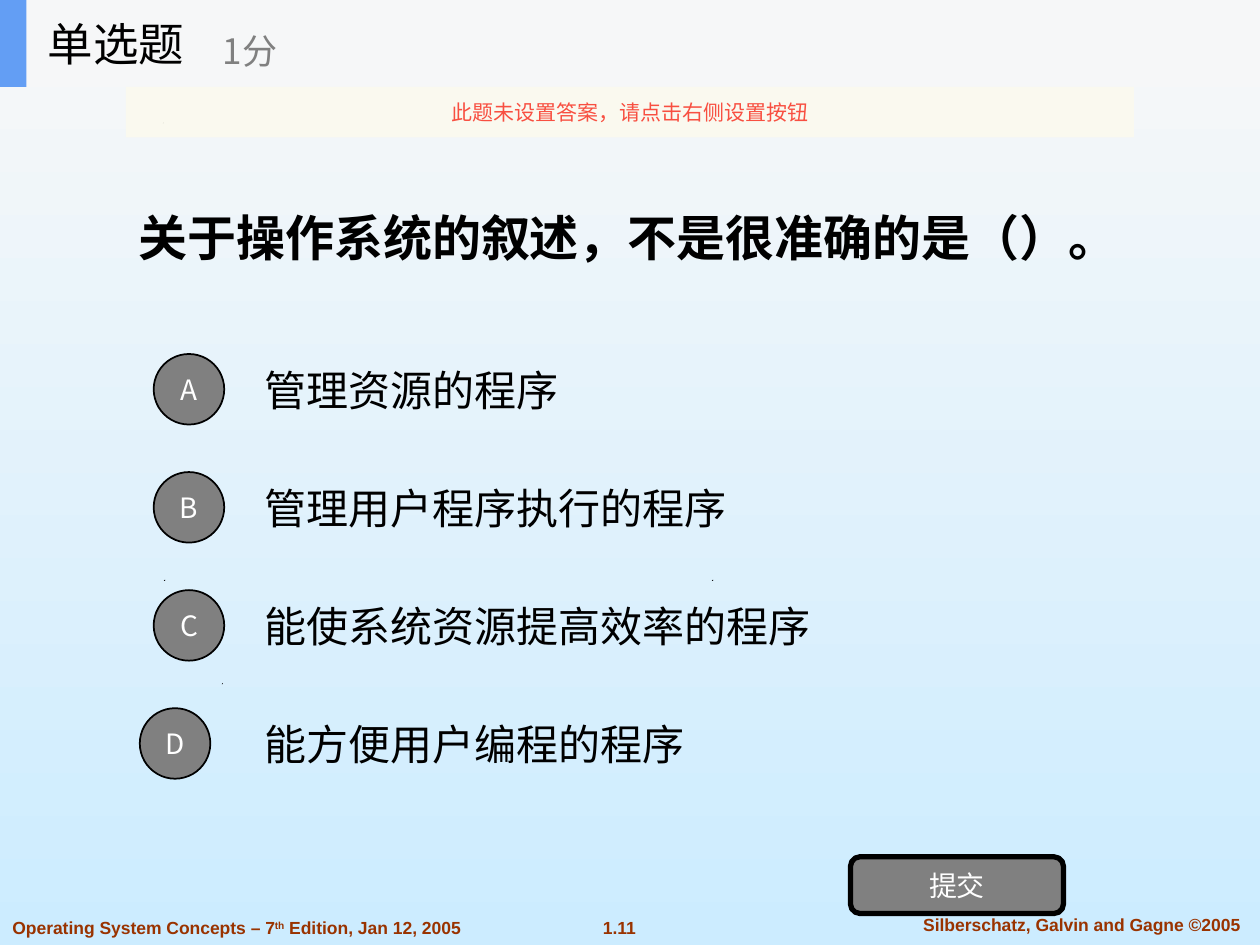
from lxml import etree
from pptx import Presentation
from pptx.dml.color import RGBColor
from pptx.enum.shapes import MSO_SHAPE
from pptx.enum.text import MSO_ANCHOR, PP_ALIGN
from pptx.oxml.ns import qn
from pptx.util import Inches, Pt

RECTANGLE, OVAL = MSO_SHAPE.RECTANGLE, MSO_SHAPE.OVAL
ROUNDED = MSO_SHAPE.ROUNDED_RECTANGLE
LEFT, CENTER = PP_ALIGN.LEFT, PP_ALIGN.CENTER
MIDDLE = MSO_ANCHOR.MIDDLE

BLACK = RGBColor(0x00, 0x00, 0x00)
WHITE = RGBColor(0xFF, 0xFF, 0xFF)
GRAY = RGBColor(0x80, 0x80, 0x80)
BROWN = RGBColor(0x99, 0x33, 0x00)
RED = RGBColor(0xF8, 0x4F, 0x41)
BLUE = RGBColor(0x63, 0x9E, 0xF4)
HEADER = RGBColor(0xF6, 0xF7, 0xF8)
CREAM = RGBColor(0xFB, 0xFA, 0xEF)
SKY_TOP = RGBColor(0xF8, 0xF8, 0xF8)
SKY_BOTTOM = RGBColor(0xCC, 0xEC, 0xFF)

ARIAL, NOTO = "Arial", "Noto Sans CJK SC"

OPTIONS = [
    ("A", "管理资源的程序", 1.22),
    ("B", "管理用户程序执行的程序", 1.22),
    ("C", "能使系统资源提高效率的程序", 1.22),
    ("D", "能方便用户编程的程序", 1.11),
]
OPTION_TOP, OPTION_PITCH, OPTION_HEIGHT = 2.74, 0.937, 0.7
CIRCLE = 0.56

# Left and top of the small marks, in hundredths of an inch
SPECKS = [(176, 542), (130, 460), (565, 460), (129, 97)]


def write(shape, pieces, size, color, font=NOTO, bold=False, align=LEFT):
    """Fill a shape with one paragraph; every second piece is superscript."""
    frame = shape.text_frame
    frame.word_wrap = True
    frame.vertical_anchor = MIDDLE
    para = frame.paragraphs[0]
    para.alignment = align
    para.font.size = Pt(size)
    para.font.bold = bold
    para.font.name = font
    para.font.color.rgb = color
    defaults = para._p.pPr.find(qn("a:defRPr"))
    etree.SubElement(defaults, qn("a:ea")).set("typeface", NOTO)
    for index, piece in enumerate(pieces):
        span = para.add_run()
        span.text = piece
        if index % 2:
            span.font._element.set("baseline", "30000")


def add_text(page, place, pieces, size, color, **style):
    box = page.shapes.add_textbox(*map(Inches, place))
    write(box, pieces, size, color, **style)


def add_block(page, kind, place, fill, line_width=0):
    shape = page.shapes.add_shape(kind, *map(Inches, place))
    shape.shadow.inherit = False
    shape.fill.solid()
    shape.fill.fore_color.rgb = fill
    if line_width:
        shape.line.color.rgb = BLACK
        shape.line.width = Pt(line_width)
    else:
        shape.line.fill.background()
    return shape


def add_speck(page, left, top):
    builder = page.shapes.build_freeform(left, top + 1, scale=Inches(0.01))
    builder.add_line_segments([(left + 1, top), (left + 1, top + 1)])
    speck = builder.convert_to_shape()
    speck.shadow.inherit = False
    speck.fill.solid()
    speck.fill.fore_color.rgb = BLACK
    speck.line.fill.background()


def paint_background(page):
    fill = page.background.fill
    fill.gradient()
    fill.gradient_angle = 270
    for stop, color in zip(fill.gradient_stops, (SKY_TOP, SKY_BOTTOM)):
        stop.color.rgb = color


def add_footer(page):
    style = {"font": ARIAL, "bold": True}
    add_text(page, (0, 7.23, 3.9, 0.27),
             ["Operating System Concepts – 7", "th", " Edition, Jan 12, 2005"],
             10, BROWN, **style)
    add_text(page, (4.67, 7.23, 0.49, 0.27), ["1.11"], 10, BROWN,
             align=CENTER, **style)
    add_text(page, (7.1, 7.2, 2.97, 0.27),
             ["Silberschatz, Galvin and Gagne ©2005"], 10, BROWN,
             align=CENTER, **style)


def add_question(page):
    title = page.shapes.title
    title.left, title.top, title.width, title.height = map(
        Inches, (1, 1.39, 8.31, 0.98))
    write(title, ["关于操作系统的叙述，不是很准确的是（）。"], 28, BLACK,
          font=ARIAL, bold=True)


def add_options(page):
    for row, (letter, answer, left) in enumerate(OPTIONS):
        top = OPTION_TOP + row * OPTION_PITCH
        add_text(page, (2, top, 7, OPTION_HEIGHT), [answer], 24, BLACK,
                 font=ARIAL)
        circle_top = top + (OPTION_HEIGHT - CIRCLE) / 2
        circle = add_block(page, OVAL, (left, circle_top, CIRCLE, CIRCLE),
                           GRAY, 1)
        write(circle, [letter], 16, WHITE, align=CENTER)


def add_header(page):
    add_block(page, RECTANGLE, (0, 0, 10, 0.69), HEADER)
    add_block(page, RECTANGLE, (0, 0, 0.21, 0.69), BLUE)
    add_text(page, (0.28, 0, 2.08, 0.69), ["单选题"], 26, BLACK)
    add_text(page, (1.67, 0.12, 2.5, 0.56), ["1分"], 20, GRAY)


def add_notice(page):
    notice = add_block(page, RECTANGLE, (1, 0.69, 8, 0.4), CREAM)
    color = notice._element.spPr.find(qn("a:solidFill"))[0]
    etree.SubElement(color, qn("a:alpha")).set("val", "90000")
    write(notice, ["此题未设置答案，请点击右侧设置按钮"], 12, RED, align=CENTER)


def main():
    deck = Presentation()
    deck.slide_width, deck.slide_height = Inches(10), Inches(7.5)
    page = deck.slides.add_slide(deck.slide_layouts[5])

    # Backdrop and footer
    paint_background(page)
    for left, top in SPECKS:
        add_speck(page, left, top)
    add_footer(page)

    # Question, answers and submit button
    add_question(page)
    add_options(page)
    button = add_block(page, ROUNDED, (6.75, 6.8, 1.69, 0.45), GRAY, 3)
    write(button, ["提交"], 16, WHITE, align=CENTER)

    # Header bar and notice
    add_header(page)
    add_notice(page)
    deck.save("out.pptx")


if __name__ == "__main__":
    main()
